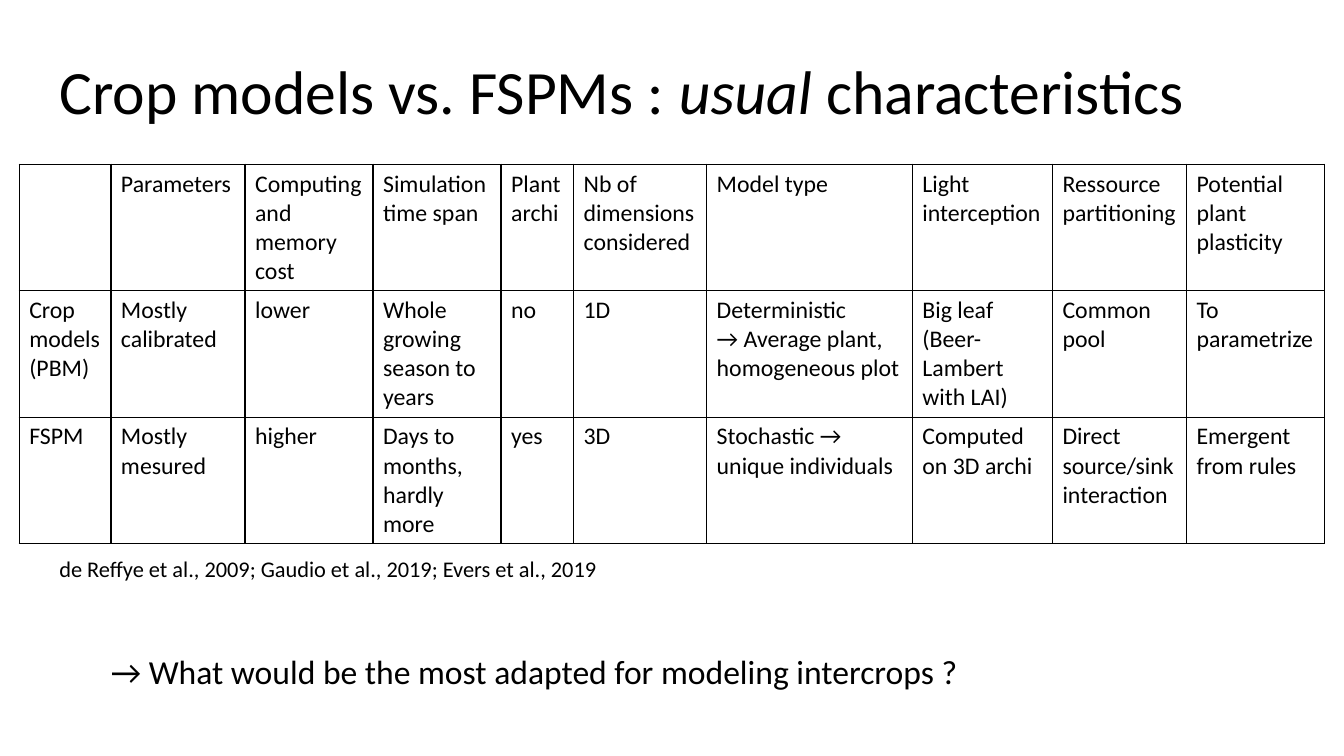
from dataclasses import dataclass

from lxml import etree
from pptx import Presentation
from pptx import util as u
from pptx.dml.color import RGBColor
from pptx.enum import text
from pptx.oxml import ns


@dataclass(frozen=True)
class Theme:
    font: str = "Calibri"
    ink: str = "000000"
    head: int = 44
    ask: int = 24
    cell: int = 17
    cite: int = 16
    rule: float = 1


THEME = Theme()
WIDE, HIGH = 13.33, 7.5

TITLE = [("Crop models vs. FSPMs : ", False), ("usual", True),
         (" characteristics", False)]
COLS = [0.91, 1.33, 1.27, 1.27, 0.72, 1.32, 2.04, 1.39, 1.33, 1.37]
ROWS = [
    ["", "Parameters", "Computing and memory cost", "Simulation time span",
     "Plant archi", "Nb of dimensions considered", "Model type",
     "Light interception", "Ressource partitioning",
     "Potential plant plasticity"],
    ["Crop models (PBM)", "Mostly calibrated", "lower",
     "Whole growing season to years", "no", "1D",
     "Deterministic\n→ Average plant, homogeneous plot",
     "Big leaf (Beer-Lambert with LAI)", "Common pool", "To parametrize"],
    ["FSPM", "Mostly mesured", "higher", "Days to months, hardly more",
     "yes", "3D", "Stochastic → unique individuals",
     "Computed on 3D archi", "Direct source/sink interaction",
     "Emergent from rules"],
]
CITE = "de Reffye et al., 2009; Gaudio et al., 2019; Evers et al., 2019"
ASK = "→ What would be the most adapted for modeling intercrops ?"


def add_run(para, words, size, slant=False):
    run = para.add_run()
    run.text = words
    font = run.font
    font.name, font.size, font.italic = THEME.font, u.Pt(size), slant
    font.color.rgb = RGBColor.from_string(THEME.ink)


def add_title(slide, box):
    shape = slide.shapes.title
    shape.left, shape.top, shape.width, shape.height = map(u.Inches, box)
    frame = shape.text_frame
    frame.word_wrap = True
    frame.auto_size = text.MSO_AUTO_SIZE.NONE
    frame.vertical_anchor = text.MSO_ANCHOR.MIDDLE
    para = frame.paragraphs[0]
    para.alignment = text.PP_ALIGN.LEFT
    para.line_spacing = 0.9
    for words, slant in TITLE:
        add_run(para, words, THEME.head, slant)


def add_edges(cell):
    # Borders come before the fill in the cell properties
    props = cell._tc.get_or_add_tcPr()
    for spot, side in enumerate(("lnL", "lnR", "lnT", "lnB")):
        line = etree.Element(ns.qn("a:" + side), w=str(u.Pt(THEME.rule)))
        fill = etree.SubElement(line, ns.qn("a:solidFill"))
        etree.SubElement(fill, ns.qn("a:srgbClr"), val=THEME.ink)
        props.insert(spot, line)


def add_grid(slide, box):
    left, top, width, high = map(u.Inches, box)
    table = slide.shapes.add_table(len(ROWS), len(COLS), left, top,
                                   width, high).table
    table.first_row = table.horz_banding = False
    for col, share in zip(table.columns, COLS):
        col.width = int(width * share / sum(COLS))
    for row, line in zip(table.rows, ROWS):
        row.height = high // len(ROWS)
        for cell, words in zip(row.cells, line):
            cell.fill.background()
            add_edges(cell)
            frame = cell.text_frame
            for spot, part in enumerate(words.split("\n")):
                para = frame.add_paragraph() if spot else frame.paragraphs[0]
                if part:
                    add_run(para, part, THEME.cell)


def add_note(slide, box, words, size):
    frame = slide.shapes.add_textbox(*map(u.Inches, box)).text_frame
    frame.word_wrap = True
    frame.auto_size = text.MSO_AUTO_SIZE.SHAPE_TO_FIT_TEXT
    add_run(frame.paragraphs[0], words, size)


def main():
    deck = Presentation()
    deck.slide_width, deck.slide_height = u.Inches(WIDE), u.Inches(HIGH)
    slide = deck.slides.add_slide(deck.slide_layouts[5])
    edge = 0.49

    # Heading
    add_title(slide, (edge, 0.21, 11.5, 1.45))
    # Comparison of the two model families
    add_grid(slide, (0.19, 1.63, sum(COLS), 3.76))
    # Closing question and references
    add_note(slide, (1, 6.41, 9.11, 0.5), ASK, THEME.ask)
    add_note(slide, (edge, 5.46, 7.32, 0.37), CITE, THEME.cite)

    deck.save("out.pptx")


if __name__ == "__main__":
    main()
